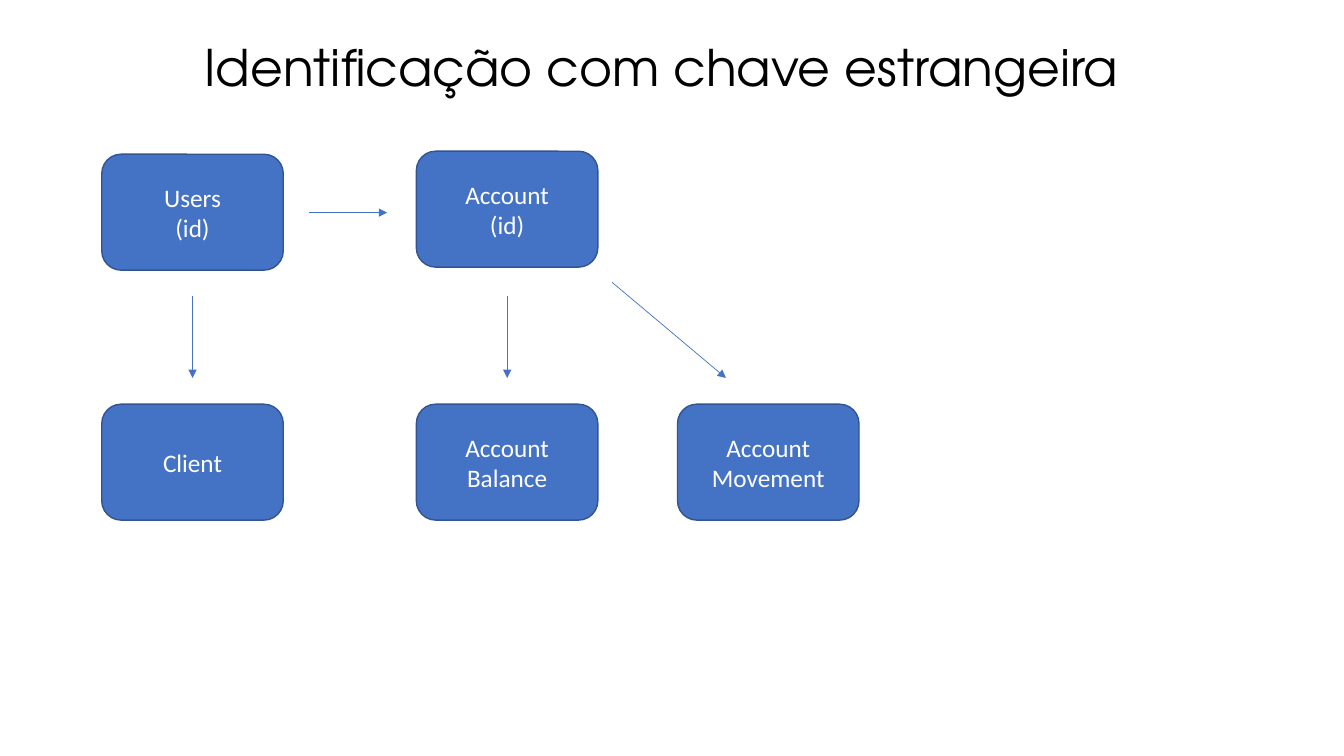
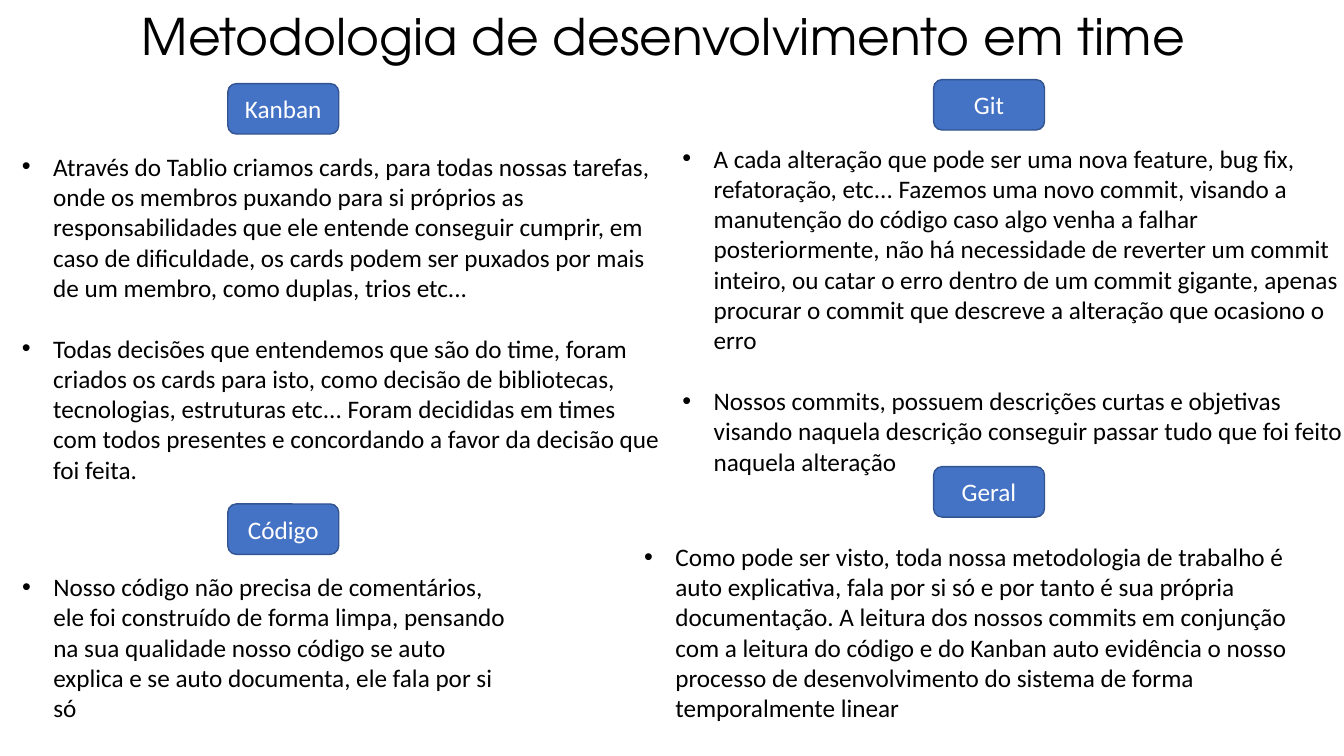
from lxml.etree import SubElement
from pptx import Presentation
from pptx.dml.color import RGBColor
from pptx.enum.shapes import MSO_CONNECTOR, MSO_SHAPE
from pptx.enum.text import MSO_ANCHOR, MSO_AUTO_SIZE, PP_ALIGN
from pptx.oxml.ns import qn
from pptx.util import Emu, Pt

PX = 9144
COLORS = {"text": "000000", "box": "4472C4", "border": "325491", "label": "FFFFFF"}
TITLE_FONT = "TeX Gyre Adventor"
BODY_FONT = "Calibri"
BULLET_INDENT = 31

BOX_W, BOX_H = 180, 115
USERS_X, ACCOUNT_X, MOVEMENT_X = 101, 413, 672
LOWER_Y = 401
ENTITIES = [
    ("Users\n(id)", USERS_X, 153),
    ("Account\n(id)", ACCOUNT_X, 150),
    ("Client", USERS_X, LOWER_Y),
    ("Account\nBalance", ACCOUNT_X, LOWER_Y),
    ("Account\nMovement", MOVEMENT_X, LOWER_Y),
]
ARROW_TOP, ARROW_BOTTOM = 294, 375
ARROWS = [
    (306, 211, 384, 211),
    (607, 280, 720, ARROW_BOTTOM),
] + [(x + BOX_W // 2, ARROW_TOP, x + BOX_W // 2, ARROW_BOTTOM)
     for x in (USERS_X, ACCOUNT_X)]

TAG_W, TAG_H = 110, 50
LEFT_TAG_X, RIGHT_TAG_X = 226, 926
SECTIONS = [
    ("Kanban", (LEFT_TAG_X, 83), (12, 145, 654, 343), [
        "Através do Tablio criamos cards, para todas nossas tarefas, onde os membros "
        "puxando para si próprios as responsabilidades que ele entende conseguir cumprir, "
        "em caso de dificuldade, os cards podem ser puxados por mais de um membro, como "
        "duplas, trios etc...",
        "Todas decisões que entendemos que são do time, foram criados os cards para isto, "
        "como decisão de bibliotecas, tecnologias, estruturas etc... Foram decididas em "
        "times com todos presentes e concordando a favor da decisão que foi feita.",
    ]),
    ("Git", (RIGHT_TAG_X, 79), (667, 137, 682, 343), [
        "A cada alteração que pode ser uma nova feature, bug fix, refatoração, etc... "
        "Fazemos uma novo commit, visando a manutenção do código caso algo venha a falhar "
        "posteriormente, não há necessidade de reverter um commit inteiro, ou catar o erro "
        "dentro de um commit gigante, apenas procurar o commit que descreve a alteração "
        "que ocasiono o erro",
        "Nossos commits, possuem descrições curtas e objetivas visando naquela descrição "
        "conseguir passar tudo que foi feito naquela alteração",
    ]),
    ("Código", (LEFT_TAG_X, 500), (12, 562, 509, 162), [
        "Nosso código não precisa de comentários, ele foi construído de forma limpa, "
        "pensando na sua qualidade nosso código se auto explica e se auto documenta, "
        "ele fala por si só",
    ]),
    ("Geral", (RIGHT_TAG_X, 463), (629, 532, 705, 192), [
        "Como pode ser visto, toda nossa metodologia de trabalho é auto explicativa, "
        "fala por si só e por tanto é sua própria documentação. A leitura dos nossos "
        "commits em conjunção com a leitura do código e do Kanban auto evidência o nosso "
        "processo de desenvolvimento do sistema de forma temporalmente linear",
    ]),
]


def px(*values):
    return [Emu(v * PX) for v in values]


def rgb(name):
    return RGBColor.from_string(COLORS[name])


def format_runs(tf, size, font, color):
    for p in tf.paragraphs:
        for r in p.runs:
            r.font.size = Pt(size)
            r.font.name = font
            r.font.color.rgb = rgb(color)


def add_title(s, text, x, y, w):
    tf = s.shapes.add_textbox(*px(x, y, w, 71)).text_frame
    tf.word_wrap = False
    tf.auto_size = MSO_AUTO_SIZE.SHAPE_TO_FIT_TEXT
    tf.text = text
    format_runs(tf, 36, TITLE_FONT, "text")


def add_box(s, text, x, y, w, h):
    sp = s.shapes.add_shape(MSO_SHAPE.ROUNDED_RECTANGLE, *px(x, y, w, h))
    sp.shadow.inherit = False
    sp.fill.solid()
    sp.fill.fore_color.rgb = rgb("box")
    sp.line.color.rgb = rgb("border")
    sp.line.width = Pt(1)
    tf = sp.text_frame
    tf.word_wrap = True
    tf.vertical_anchor = MSO_ANCHOR.MIDDLE
    tf.text = text
    for p in tf.paragraphs:
        p.alignment = PP_ALIGN.CENTER
    format_runs(tf, 18, BODY_FONT, "label")


def add_arrow(s, x1, y1, x2, y2):
    line = s.shapes.add_connector(MSO_CONNECTOR.STRAIGHT, *px(x1, y1, x2, y2))
    line.line.color.rgb = rgb("box")
    line.line.width = Pt(0.5)
    SubElement(line.line._get_or_add_ln(), qn("a:tailEnd"), type="triangle")
    SubElement(line._element.spPr, qn("a:effectLst"))


def add_bullets(s, items, x, y, w, h):
    tf = s.shapes.add_textbox(*px(x, y, w, h)).text_frame
    tf.word_wrap = True
    tf.auto_size = MSO_AUTO_SIZE.SHAPE_TO_FIT_TEXT
    tf.text = "\n".join(items)
    for i, p in enumerate(tf.paragraphs):
        if i:
            p.space_before = Pt(22)
        pPr = p._p.get_or_add_pPr()
        pPr.set("marL", str(BULLET_INDENT * PX))
        pPr.set("indent", str(-BULLET_INDENT * PX))
        SubElement(pPr, qn("a:buFont"), typeface="Arial")
        SubElement(pPr, qn("a:buChar"), char="•")
    format_runs(tf, 18, BODY_FONT, "text")


def add_slide(prs):
    return prs.slides.add_slide(prs.slide_layouts[6])


def build_keys(prs):
    s = add_slide(prs)
    add_title(s, "Identificação com chave estrangeira", 193, 31, 941)
    for text, x, y in ENTITIES:
        add_box(s, text, x, y, BOX_W, BOX_H)
    for points in ARROWS:
        add_arrow(s, *points)


def build_methodology(prs):
    s = add_slide(prs)
    add_title(s, "Metodologia de desenvolvimento em time", 131, 0, 1072)
    for tag, tag_at, area, items in SECTIONS:
        add_bullets(s, items, *area)
        add_box(s, tag, *tag_at, TAG_W, TAG_H)


def main():
    prs = Presentation()
    prs.slide_width, prs.slide_height = px(1333, 750)
    build_keys(prs)
    build_methodology(prs)
    prs.save("out.pptx")


if __name__ == "__main__":
    main()
